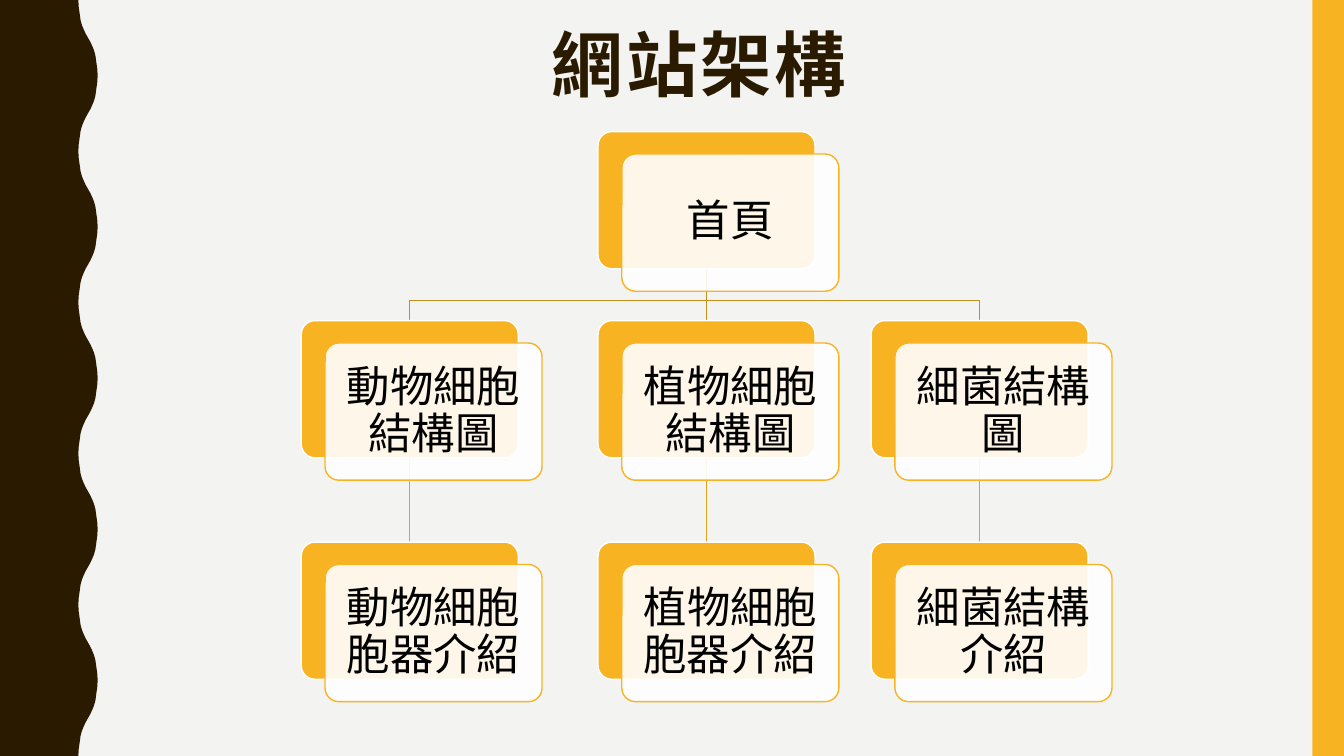
from dataclasses import dataclass

from lxml import etree
from pptx import Presentation
from pptx.dml.color import RGBColor
from pptx.enum.shapes import MSO_CONNECTOR, MSO_SHAPE
from pptx.enum.text import MSO_ANCHOR, PP_ALIGN
from pptx.oxml.ns import qn
from pptx.util import Pt

RECT, ROUNDED = MSO_SHAPE.RECTANGLE, MSO_SHAPE.ROUNDED_RECTANGLE
STRAIGHT = MSO_CONNECTOR.STRAIGHT
CENTER, TOP, MIDDLE = PP_ALIGN.CENTER, MSO_ANCHOR.TOP, MSO_ANCHOR.MIDDLE
BOTTOM_SIDE, TOP_SIDE = 2, 0


@dataclass(frozen=True)
class Theme:
    font: str = "Noto Sans CJK SC"
    background: str = "F3F3F2"
    dark: str = "2A1A00"
    accent: str = "F8B323"
    upper_line: str = "C78F1C"
    lower_line: str = "E1A220"
    white: str = "FFFFFF"
    black: str = "000000"
    title_size: float = 51
    card_size: float = 31
    line_width: float = 1


class SiteMapSlide:
    """Draws the elements of a site map slide in one theme."""

    def __init__(self, prs, theme):
        self.theme = theme
        self.slide = prs.slides.add_slide(prs.slide_layouts[6])
        self.shapes = self.slide.shapes
        self.fill(self.slide.background, theme.background)

    def fill(self, sp, color, alpha=None):
        sp.fill.solid()
        sp.fill.fore_color.rgb = RGBColor.from_string(color)
        if alpha is not None:
            clr = sp.element.spPr.find(".//" + qn("a:srgbClr"))
            etree.SubElement(clr, qn("a:alpha")).set("val", str(alpha * 1000))

    def stroke(self, sp, color):
        sp.line.color.rgb = RGBColor.from_string(color)
        sp.line.width = Pt(self.theme.line_width)

    def add_text(self, tf, text, size, color, anchor, bold=False, spacing=0):
        tf.word_wrap = True
        tf.vertical_anchor = anchor
        p = tf.paragraphs[0]
        p.alignment, p.line_spacing = CENTER, 0.9
        r = p.add_run()
        r.text = text
        r.font.name, r.font.size, r.font.bold = self.theme.font, Pt(size), bold
        r.font.color.rgb = RGBColor.from_string(color)
        rpr = r._r.get_or_add_rPr()
        rpr.set("spc", str(spacing * 100))
        etree.SubElement(rpr, qn("a:ea")).set("typeface", self.theme.font)

    def title(self, text, x, y, w, h):
        tf = self.shapes.add_textbox(Pt(x), Pt(y), Pt(w), Pt(h)).text_frame
        self.add_text(tf, text, self.theme.title_size, self.theme.dark, TOP, True, 2)

    def block(self, kind, x, y, w, h, color, alpha=None):
        sp = self.shapes.add_shape(kind, Pt(x), Pt(y), Pt(w), Pt(h))
        sp.shadow.inherit = False
        self.fill(sp, color, alpha)
        sp.line.fill.background()
        return sp

    def outline(self, points, close):
        (x, y), *rest = [(Pt(px), Pt(py)) for px, py in points]
        builder = self.shapes.build_freeform(x, y)
        builder.add_line_segments(rest, close=close)
        sp = builder.convert_to_shape()
        sp.shadow.inherit = False
        return sp

    def wave(self, height, half_wave):
        period = 2 * half_wave[-1][1]
        fall = [(x, period - y) for x, y in half_wave[-2:0:-1]]
        edge = [(x, y + top) for top in range(0, height, period)
                for x, y in half_wave + fall]
        sp = self.outline([(0, 0), *edge, (half_wave[0][0], height), (0, height)], True)
        self.fill(sp, self.theme.dark)
        sp.line.fill.background()

    def card(self, text, x, y, w, h, dx, dy):
        back = self.block(ROUNDED, x, y, w, h, self.theme.accent)
        self.stroke(back, self.theme.white)
        front = self.block(ROUNDED, x + dx, y + dy, w, h, self.theme.white, 90)
        self.stroke(front, self.theme.accent)
        back.adjustments[0] = front.adjustments[0] = 0.1
        tf = front.text_frame
        tf.margin_left = tf.margin_right = tf.margin_top = tf.margin_bottom = Pt(9.4)
        self.add_text(tf, text, self.theme.card_size, self.theme.black, MIDDLE)
        return back

    def link(self, parent, child, color):
        cx = self.shapes.add_connector(STRAIGHT, 0, 0, 0, 0)
        cx.begin_connect(parent, BOTTOM_SIDE)
        cx.end_connect(child, TOP_SIDE)
        self.stroke(cx, color)
        etree.SubElement(cx.element.spPr, qn("a:effectLst"))
        return cx

    def elbow(self, points, color):
        sp = self.outline(points, False)
        sp.fill.background()
        self.stroke(sp, color)
        return sp


def main():
    width, height = 960, 540
    prs = Presentation()
    prs.slide_width, prs.slide_height = Pt(width), Pt(height)
    theme = Theme()
    s = SiteMapSlide(prs, theme)

    rise = [(56, 0), (56.3, 5), (57, 10), (57.6, 14.4),
            (58.6, 18), (59.8, 21), (61.2, 24), (62.9, 27)]
    turned = [(125.8 - x, 54 - y) for x, y in rise[-2::-1]]
    s.wave(height, rise + turned)
    s.block(RECT, 937.5, 0, 22.5, height, theme.accent)
    s.title("網站架構", 98.6, 18, 801.4, 117.4)

    card_w, card_h = 155, 98
    size = (card_w, card_h, 17, 16)
    home_x, home_y, page_y, detail_y = 427.2, 94, 229, 387.2
    home = s.card("首頁", home_x, home_y, *size)
    columns = [
        (215.2, "動物細胞結構圖", "動物細胞胞器介紹"),
        (home_x, "植物細胞結構圖", "植物細胞胞器介紹"),
        (622.3, "細菌結構圖", "細菌結構介紹"),
    ]
    trunk_x, bus_y = home_x + card_w / 2, page_y - 14.5
    for x, page_text, detail_text in columns:
        page = s.card(page_text, x, page_y, *size)
        detail = s.card(detail_text, x, detail_y, *size)
        lines = [s.link(page, detail, theme.lower_line)]
        if x == home_x:
            lines.append(s.link(home, page, theme.upper_line))
        else:
            drop_x = x + card_w / 2
            lines.append(s.elbow([(trunk_x, home_y + card_h), (trunk_x, bus_y),
                                  (drop_x, bus_y), (drop_x, page_y)], theme.upper_line))
        for line in lines:
            home.element.addprevious(line.element)

    prs.save("out.pptx")


if __name__ == "__main__":
    main()
